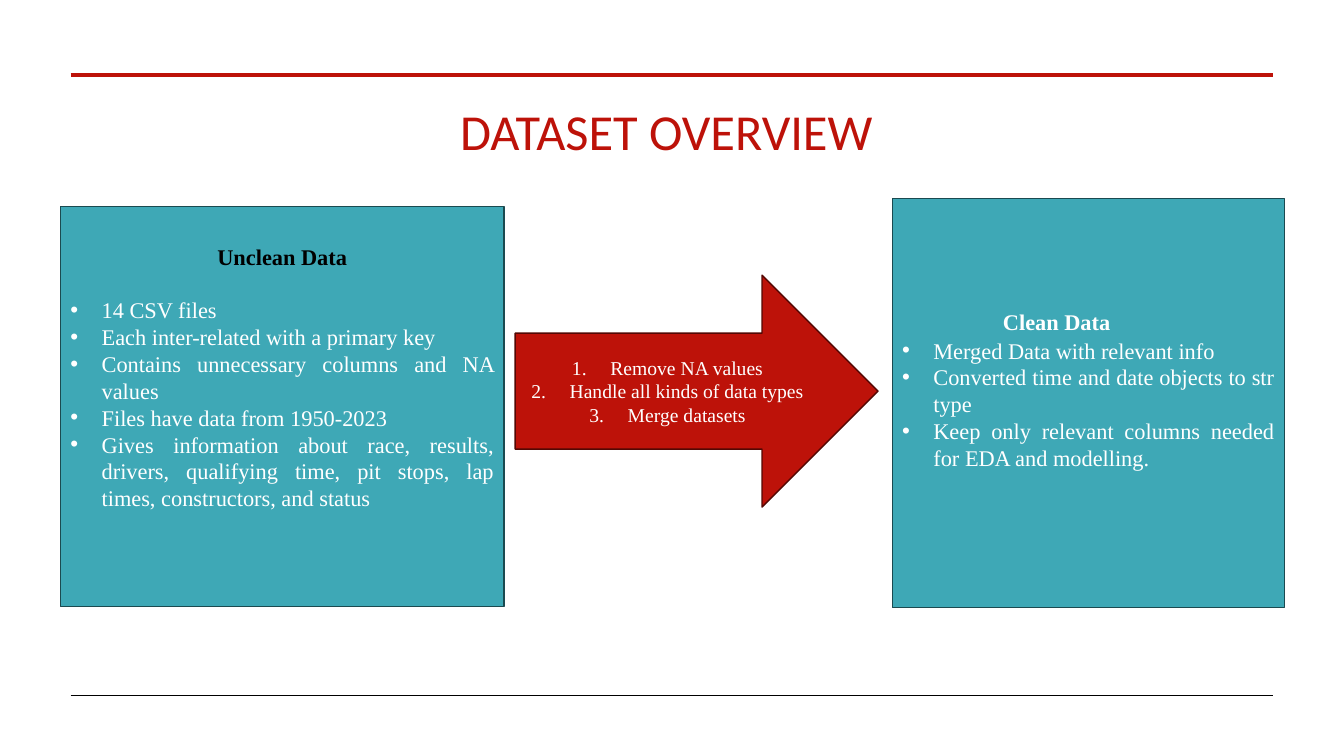
from lxml.etree import SubElement
from pptx import Presentation
from pptx.dml.color import RGBColor
from pptx.enum.shapes import MSO_CONNECTOR, MSO_SHAPE
from pptx.enum.text import MSO_ANCHOR, PP_ALIGN
from pptx.oxml.ns import qn
from pptx.util import Emu, Inches, Pt

RED, TEAL, WHITE, BLACK = "BD1209", "3EA8B6", "FFFFFF", "000000"
RED_EDGE, TEAL_EDGE = "530804", "1B4A50"
BULLET = ("buChar", {"char": "•"})
NUMBER = ("buAutoNum", {"type": "arabicPeriod"})


def color(value):
    return RGBColor.from_string(value)


class Deck:
    title_font = "Calibri"
    body_font = "Times New Roman"

    def __init__(self):
        self.presentation = Presentation()
        self.presentation.slide_width = Inches(13.33)
        self.presentation.slide_height = Inches(7.5)
        self.slide = self.presentation.slides.add_slide(self.presentation.slide_layouts[6])

    def x(self, percent):
        return Emu(round(self.presentation.slide_width * percent / 100))

    def y(self, percent):
        return Emu(round(self.presentation.slide_height * percent / 100))

    def frame(self, left, top, width, height):
        return self.x(left), self.y(top), self.x(width), self.y(height)

    def rule(self, top, line_color, weight):
        rule = self.slide.shapes.add_connector(
            MSO_CONNECTOR.STRAIGHT, self.x(5.25), self.y(top), self.x(94.75), self.y(top))
        rule.line.color.rgb = color(line_color)
        rule.line.width = Pt(weight)
        SubElement(rule._element.spPr, qn("a:effectLst"))

    def style(self, paragraph, size, text_color, align, font=body_font, bold=False):
        paragraph.alignment = align
        paragraph.font.name = font
        paragraph.font.size = Pt(size)
        paragraph.font.bold = bold
        paragraph.font.color.rgb = color(text_color)

    def title(self, text, *place):
        box = self.slide.shapes.add_textbox(*self.frame(*place)).text_frame
        box.word_wrap = True
        heading = box.paragraphs[0]
        heading.text = text
        heading.line_spacing = 0.85
        self.style(heading, 36, RED, PP_ALIGN.CENTER, self.title_font)

    def block(self, preset, fill, edge, *place):
        block = self.slide.shapes.add_shape(preset, *self.frame(*place))
        block.shadow.inherit = False
        block.fill.solid()
        block.fill.fore_color.rgb = color(fill)
        block.line.color.rgb = color(edge)
        block.line.width = Pt(1)
        block.text_frame.word_wrap = True
        block.text_frame.vertical_anchor = MSO_ANCHOR.MIDDLE
        return block.text_frame

    def items(self, paragraphs, texts, marker, indent, size, align):
        tag, attributes = marker
        for paragraph, text in zip(paragraphs, texts):
            paragraph.text = text
            properties = paragraph._p.get_or_add_pPr()
            properties.set("marL", str(Inches(indent)))
            properties.set("indent", str(-Inches(indent)))
            SubElement(properties, qn("a:buFont"), typeface="Arial" if marker is BULLET else "+mj-lt")
            SubElement(properties, qn("a:" + tag), attributes)
            self.style(paragraph, size, WHITE, align)

    def panel(self, place, heading, heading_color, align, indent, inset, gap, facts):
        panel = self.block(MSO_SHAPE.RECTANGLE, TEAL, TEAL_EDGE, *place)
        panel.vertical_anchor = MSO_ANCHOR.TOP
        panel.margin_top = Inches(inset)
        name = panel.paragraphs[0]
        name.text = heading
        name._p.get_or_add_pPr().set("marL", str(Inches(indent)))
        name.space_after = Pt(gap)
        self.style(name, 16, heading_color, align, bold=True)
        self.items((panel.add_paragraph() for _ in facts), facts, BULLET, 0.31, 16, PP_ALIGN.JUSTIFY)

    def arrow(self, place, steps):
        arrow = self.block(MSO_SHAPE.RIGHT_ARROW, RED, RED_EDGE, *place)
        lines = [arrow.paragraphs[0]] + [arrow.add_paragraph() for _ in steps[1:]]
        self.items(lines, steps, NUMBER, 0.38, 14, PP_ALIGN.CENTER)


def main():
    deck = Deck()
    deck.rule(9.87, RED, 3)
    deck.rule(92, BLACK, 0.5)
    deck.title("DATASET OVERVIEW", 4.5, 13.87, 90.17, 15.73)
    deck.panel((4.5, 27.33, 33, 52.93), "Unclean Data", BLACK, PP_ALIGN.CENTER, 0, 0.36, 19, [
        "14 CSV files",
        "Each inter-related with a primary key",
        "Contains unnecessary columns and NA values",
        "Files have data from 1950-2023",
        "Gives information about race, results, drivers, qualifying time, "
        "pit stops, lap times, constructors, and status",
    ])
    deck.arrow((38.33, 36.4, 27, 30.67), [
        "Remove NA values",
        "Handle all kinds of data types",
        "Merge datasets",
    ])
    deck.panel((66.39, 26.27, 29.18, 54.13), "Clean Data", WHITE, PP_ALIGN.LEFT, 1, 1.09, 1, [
        "Merged Data with relevant info",
        "Converted time and date objects to str type",
        "Keep only relevant columns needed for EDA and modelling.",
    ])
    deck.presentation.save("out.pptx")


if __name__ == "__main__":
    main()
